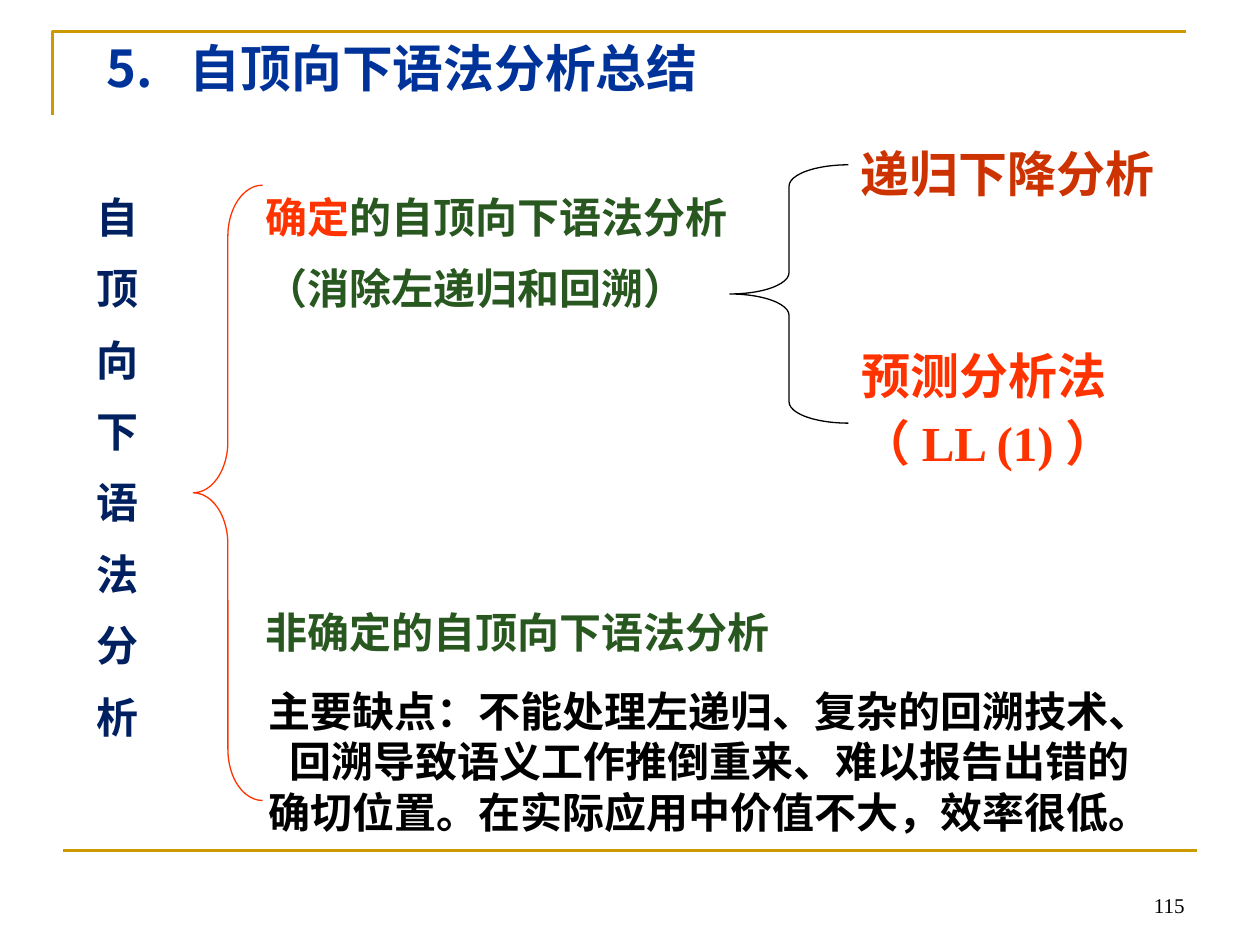
from dataclasses import dataclass

from pptx import Presentation, util as u
from pptx.dml.color import RGBColor
from pptx.enum import shapes as sh, text as tx
from pptx.oxml.ns import qn
from lxml import etree


@dataclass(frozen=True)
class Theme:
    gold: str = "CC9900"
    blue: str = "003399"
    navy: str = "002060"
    green: str = "285720"
    red: str = "FF3300"
    rust: str = "CC3300"
    black: str = "000000"
    serif: str = "Times New Roman"
    sans: str = "Noto Sans CJK SC"
    head: int = 29
    large: int = 28
    body: int = 24
    note: int = 12


@dataclass(frozen=True)
class Box:
    """A place on the grid, in columns and rows."""
    col: float
    row: float
    wide: float
    high: float


@dataclass(frozen=True)
class Label:
    box: Box
    lines: tuple[str, ...]
    color: str
    size: int
    gap: float = 0
    align: tx.PP_ALIGN = tx.PP_ALIGN.LEFT
    anchor: tx.MSO_ANCHOR = tx.MSO_ANCHOR.TOP
    face: str = Theme.serif
    bold: bool = True
    lead: str = ""  # opening words in red
    tab: float = 0  # tab stop, in columns


@dataclass(frozen=True)
class Brace:
    box: Box
    curl: float
    color: str


T = Theme()
COLS, ROWS = 120, 90
prs = Presentation()
prs.slide_width, prs.slide_height = u.Inches(10), u.Inches(7.5)
slide = prs.slides.add_slide(prs.slide_layouts[6])


def x(col: float) -> int:
    return round(prs.slide_width * col / COLS)


def y(row: float) -> int:
    return round(prs.slide_height * row / ROWS)


def place(box: Box) -> tuple[int, int, int, int]:
    return x(box.col), y(box.row), x(box.wide), y(box.high)


def rgb(color: str) -> RGBColor:
    return RGBColor.from_string(color)


def stroke(line, color: str, width: float) -> None:
    line.color.rgb = rgb(color)
    line.width = u.Pt(width)


def write(label: Label) -> None:
    frame = slide.shapes.add_textbox(*place(label.box)).text_frame
    frame.word_wrap = True
    frame.vertical_anchor = label.anchor
    for i, line in enumerate(label.lines):
        par = frame.paragraphs[0] if i == 0 else frame.add_paragraph()
        par.alignment = label.align
        if i:
            par.space_before = u.Pt(label.gap)
        elif label.lead:
            run = par.add_run()
            run.text = label.lead
            run.font.color.rgb = rgb(T.red)
        par.add_run().text = line
        if label.tab:
            tabs = etree.SubElement(par._p.get_or_add_pPr(), qn("a:tabLst"))
            etree.SubElement(tabs, qn("a:tab"), pos=str(x(label.tab)), algn="l")
        font = par.font
        font.name, font.size, font.bold = label.face, u.Pt(label.size), label.bold
        font.color.rgb = rgb(label.color)


def brace(item: Brace) -> None:
    shape = slide.shapes.add_shape(sh.MSO_SHAPE.LEFT_BRACE, *place(item.box))
    shape.shadow.inherit = False
    shape.fill.background()
    shape.adjustments[0] = item.curl
    stroke(shape.line, item.color, 0.75)


def frame() -> None:
    """Draw the gold corner at the top and the gold rule at the foot."""
    pen = slide.shapes.build_freeform(x(5), y(11))
    pen.add_line_segments([(x(5), y(3)), (x(113), y(3))], close=False)
    corner = pen.convert_to_shape()
    corner.shadow.inherit = False
    corner.fill.background()
    stroke(corner.line, T.gold, 1.5)
    rule = slide.shapes.add_connector(
        sh.MSO_CONNECTOR.STRAIGHT, x(6), y(81), x(114), y(81))
    etree.SubElement(rule._element.spPr, qn("a:effectLst"))
    stroke(rule.line, T.gold, 1.5)


TOP, LEFT = 17.64, 24.1
BRACES = (
    Brace(Box(18.4, TOP, 6.6, 58.6), 0.74, T.red),
    Brace(Box(69.5, 15.7, 11.3, 24.6), 0.18, T.black),
)
LABELS = (
    Label(Box(86, 82, 28, 6), ("115",), T.black, T.note, bold=False,
          align=tx.PP_ALIGN.RIGHT, anchor=tx.MSO_ANCHOR.BOTTOM),
    Label(Box(9, 2.9, 102, 9), ("5.\t自顶向下语法分析总结",), T.blue, T.head,
          face=T.sans, tab=7.9),
    Label(Box(8, TOP, 6.6, 57), tuple("自顶向下语法分析"), T.navy, T.body, 12),
    Label(Box(LEFT, TOP, 55.8, 13.3), ("的自顶向下语法分析", "（消除左递归和回溯）"),
          T.green, T.body, 12, lead="确定"),
    Label(Box(80.8, 13.1, 31.2, 6.8), ("递归下降分析",), T.rust, T.large),
    Label(Box(80.9, 32.3, 35.9, 13.3), ("预测分析法", "（ LL (1) ）"),
          T.red, T.large, 5),
    Label(Box(LEFT, 57.2, 54.7, 6.1), ("非确定的自顶向下语法分析",), T.green, T.body),
    Label(Box(LEFT, 64.7, 86.9, 15.7), (
        "主要缺点：不能处理左递归、复杂的回溯技术、回溯导致语义工作推倒重来、难以报告出错的",
        "确切位置。在实际应用中价值不大，效率很低。",
    ), T.black, T.body, align=tx.PP_ALIGN.CENTER),
)

frame()
for item in BRACES:
    brace(item)
for label in LABELS:
    write(label)
prs.save("out.pptx")
